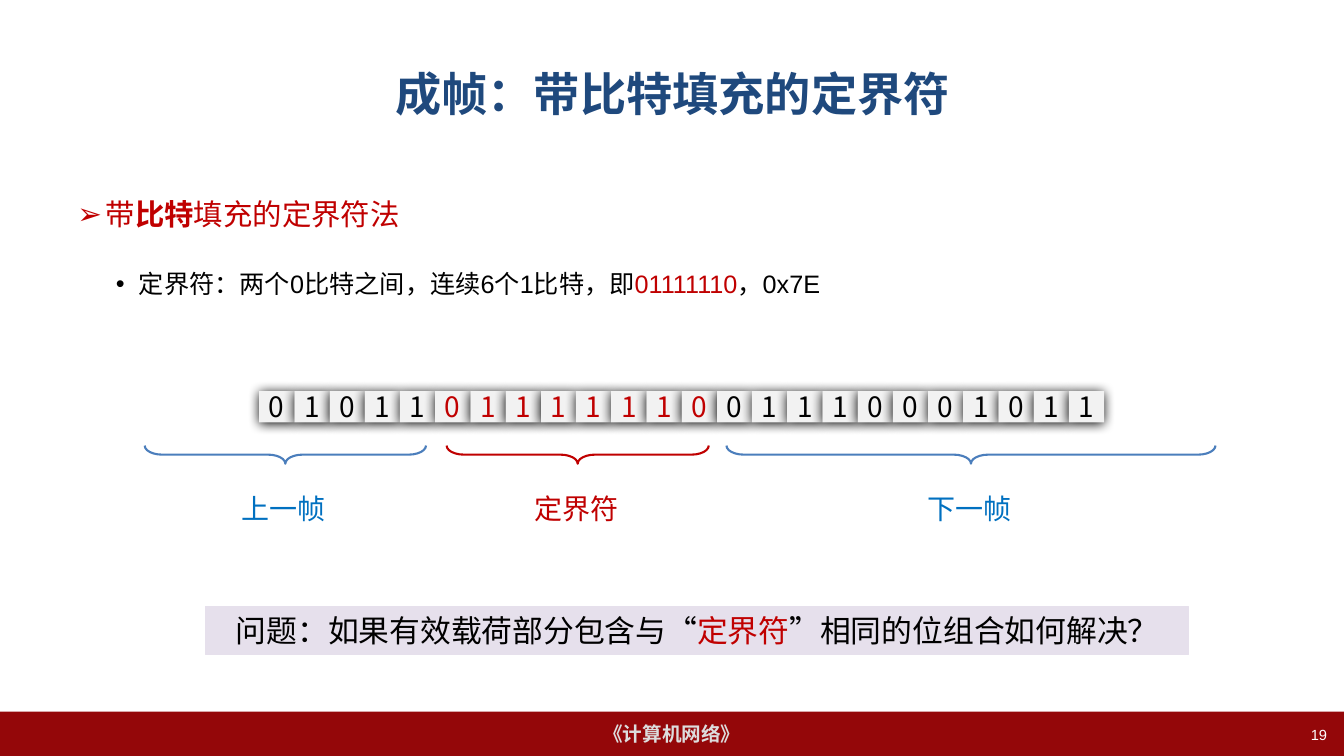
"""Build a slide on framing by delimiters with bit stuffing."""
import dataclasses

import lxml.etree
import pptx
import pptx.dml.color
import pptx.enum.shapes
import pptx.enum.text
import pptx.oxml.ns
import pptx.util

Inches = pptx.util.Inches
Pt = pptx.util.Pt
Kind = pptx.enum.shapes.MSO_SHAPE
Align = pptx.enum.text.PP_ALIGN
Anchor = pptx.enum.text.MSO_ANCHOR
qn = pptx.oxml.ns.qn
rgb = pptx.dml.color.RGBColor.from_string


@dataclasses.dataclass(frozen=True)
class Theme:
    latin: str = "Arial"
    han: str = "Noto Sans CJK SC"
    black: str = "000000"
    white: str = "FFFFFF"
    red: str = "C00000"
    navy: str = "1F497D"
    blue: str = "0070C0"
    steel: str = "4B7EBC"
    bar: str = "940709"
    pale: str = "DDDDDD"
    cell: str = "F2F2F2"
    lilac: str = "E6E0EC"
    title: float = 33
    ask: float = 22
    head: float = 21
    label: float = 20
    point: float = 18
    foot: float = 14
    page: float = 10.5


theme = Theme()


def write(para, runs, size, face, align=Align.CENTER):
    """Add runs of (text, colour, bold) to a paragraph."""
    para.alignment = align
    for text, color, bold in runs:
        run = para.add_run()
        run.text = text
        looks = {"size": Pt(size), "bold": bold, "name": face}
        for key, value in looks.items():
            setattr(run.font, key, value)
        run.font.color.rgb = rgb(color)
        east = lxml.etree.SubElement(run.font._element, qn("a:ea"))
        east.set("typeface", theme.han)


def draw(host, kind, spot, fill=None, line=None, width=1.5):
    """Add a flat shape at left, top, width, height in inches."""
    shape = host.add_shape(kind, *[Inches(n) for n in spot])
    shape.shadow.inherit = False
    for part, color in ((shape.fill, fill), (shape.line.fill, line)):
        if color:
            part.solid()
            part.fore_color.rgb = rgb(color)
        else:
            part.background()
    if line:
        shape.line.width = Pt(width)
    shape.text_frame.vertical_anchor = Anchor.MIDDLE
    return shape


deck = pptx.Presentation()
deck.slide_width, deck.slide_height = Inches(13.33), Inches(7.5)
slide = deck.slides.add_slide(deck.slide_layouts[5])
shapes = slide.shapes

bar = draw(shapes, Kind.RECTANGLE, (0, 7.06, 13.33, 0.44), theme.bar)
bar.text_frame.word_wrap = False
write(bar.text_frame.paragraphs[0], [("《计算机网络》", theme.pale, True)],
      theme.foot, theme.latin)

title = shapes.title
place = {"left": 0.67, "top": 0.3, "width": 12, "height": 1.25}
for key, value in place.items():
    setattr(title, key, Inches(value))
title.text_frame.vertical_anchor = Anchor.MIDDLE
write(title.text_frame.paragraphs[0],
      [("成帧：带比特填充的定界符", theme.navy, True)], theme.title, theme.latin)

body = shapes.add_textbox(Inches(0.67), Inches(1.75), Inches(12), Inches(4.95))
body.text_frame.word_wrap = True
points = [
    (0, 0.28, -0.28, "➢", theme.head,
     [("带", theme.red, False), ("比特", theme.red, True),
      ("填充的定界符法", theme.red, False)]),
    (1, 0.61, -0.23, "•", theme.point,
     [("定界符：两个0比特之间，连续6个1比特，即", theme.black, False),
      ("01111110", theme.red, False), ("，0x7E", theme.black, False)]),
]
for level, margin, indent, mark, size, runs in points:
    para = body.text_frame.add_paragraph() if level else body.text_frame.paragraphs[0]
    para.level = level
    para.line_spacing = Pt(36)
    if level:
        para.space_before = Pt(12)
    props = para._p.get_or_add_pPr()
    props.set("marL", str(Inches(margin)))
    props.set("indent", str(Inches(indent)))
    lxml.etree.SubElement(props, qn("a:buFont")).set("typeface", theme.latin)
    lxml.etree.SubElement(props, qn("a:buChar")).set("char", mark)
    write(para, runs, size, theme.latin, Align.LEFT)

parts = [("01011", theme.black), ("01111110", theme.red), ("01110001011", theme.black)]
bits = [(bit, color) for text, color in parts for bit in text]
row = shapes.add_group_shape().shapes
step = 8.38 / len(bits)
for index, (bit, color) in enumerate(bits):
    cell = draw(row, Kind.RECTANGLE, (2.57 + index * step, 3.88, step, 0.31), theme.cell)
    glow = lxml.etree.SubElement(cell._element.spPr.find(qn("a:effectLst")),
                                 qn("a:outerShdw"))
    shade = {"blurRad": Pt(8.5), "dist": Pt(1), "dir": 90 * 60000,
             "algn": "ctr", "rotWithShape": 0}
    for key, value in shade.items():
        glow.set(key, str(value))
    lxml.etree.SubElement(glow, qn("a:srgbClr")).set("val", theme.black)
    frame = cell.text_frame
    frame.word_wrap = False
    frame.margin_left = frame.margin_right = Inches(0.02)
    write(frame.paragraphs[0], [(bit, color, False)], theme.label, theme.han)

spans = [
    ("定界符", 5.73, 2.6, theme.red, theme.red),
    ("上一帧", 2.83, 2.79, theme.steel, theme.blue),
    ("下一帧", 9.63, 4.85, theme.steel, theme.blue),
]
for text, mid, length, line, color in spans:
    group = shapes.add_group_shape().shapes
    brace = draw(group, Kind.LEFT_BRACE,
                 (mid - 0.09, 4.51 - length / 2, 0.18, length), line=line)
    brace.rotation = 270
    brace.adjustments[0] = 0.95
    label = group.add_textbox(Inches(mid - 0.8), Inches(4.82), Inches(1.57), Inches(0.44))
    label.text_frame.word_wrap = True
    label.text_frame.vertical_anchor = Anchor.MIDDLE
    write(label.text_frame.paragraphs[0], [(text, color, False)], theme.label, theme.han)

ask = draw(shapes, Kind.RECTANGLE, (2.04, 6.02, 9.75, 0.47), theme.lilac, theme.lilac, 0.75)
ask.text_frame.word_wrap = True
write(ask.text_frame.paragraphs[0],
      [("问题：如果有效载荷部分包含与“", theme.black, False),
       ("定界符", theme.red, False),
       ("”相同的位组合如何解决？", theme.black, False)], theme.ask, theme.han)

page = shapes.add_textbox(Inches(10.15), Inches(7.15), Inches(3.11), Inches(0.35))
page.text_frame.word_wrap = True
write(page.text_frame.paragraphs[0], [("19", theme.white, False)],
      theme.page, theme.latin, Align.RIGHT)

deck.save("out.pptx")
